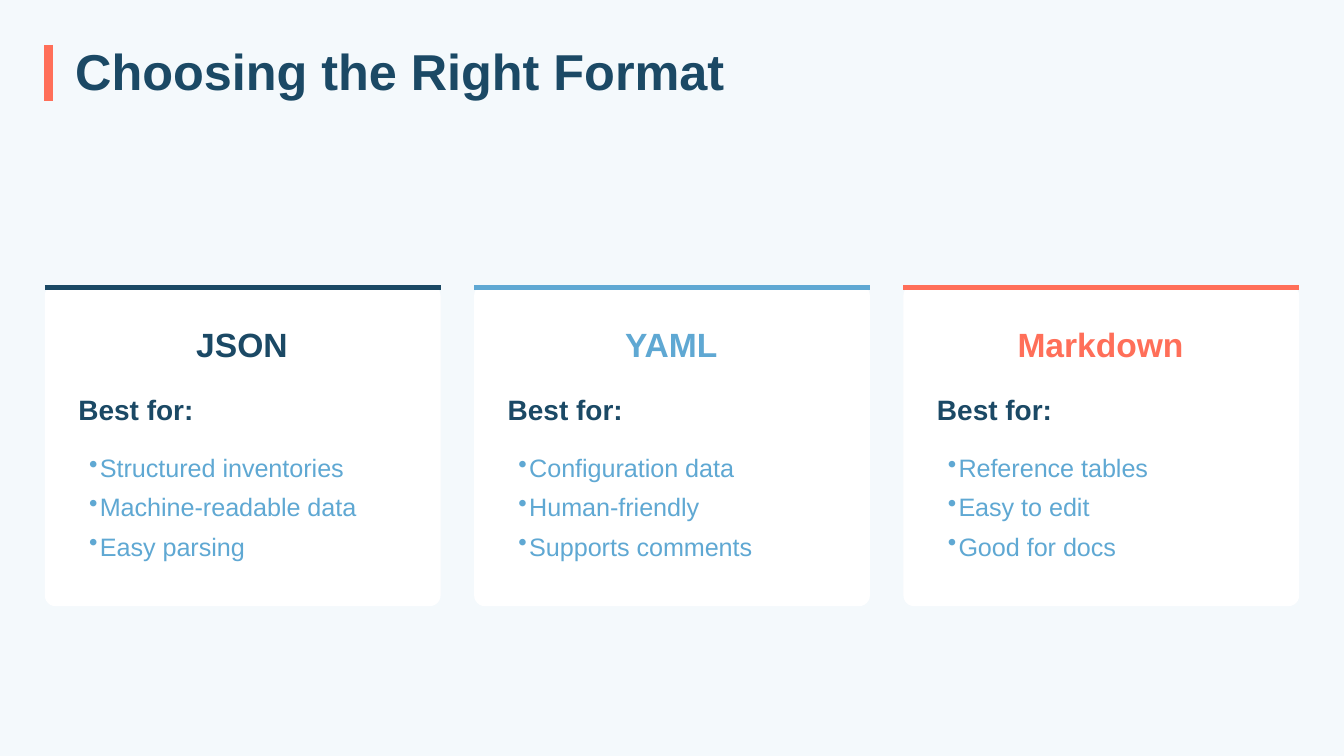
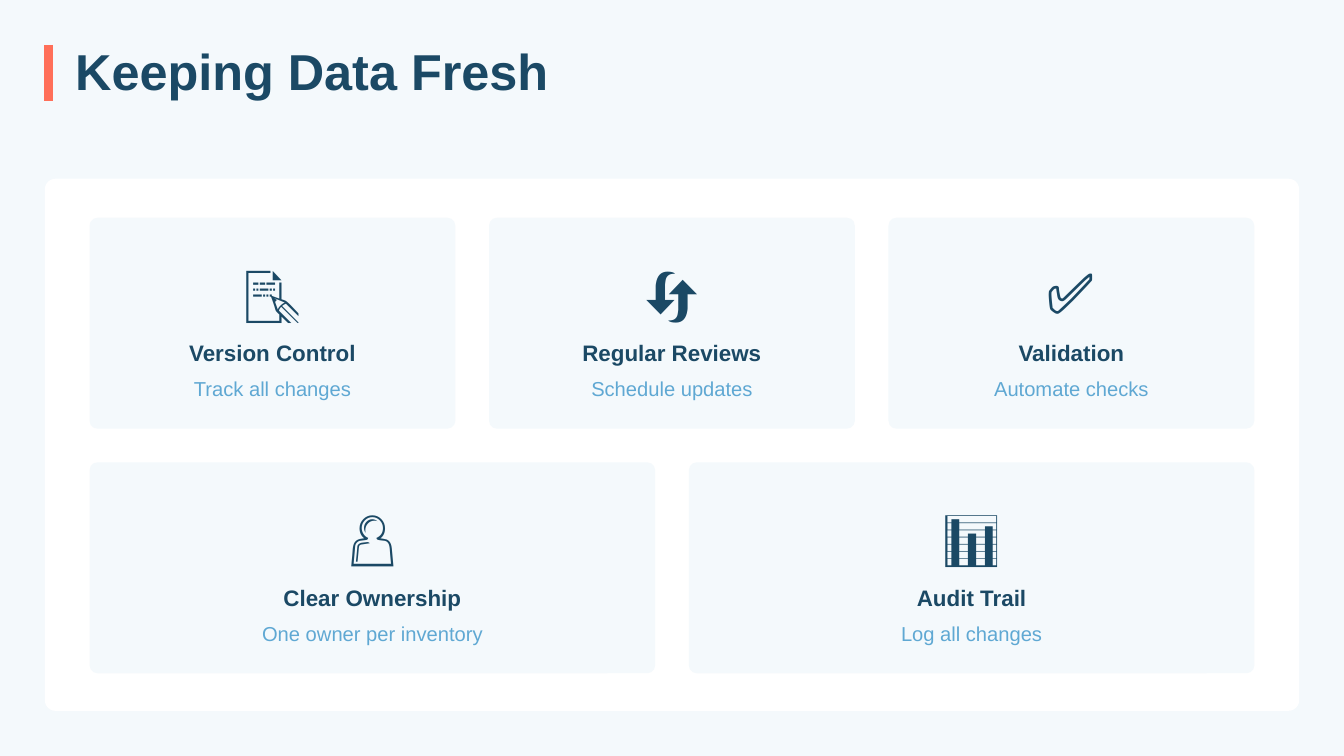
"""Build two slides: format comparison cards and data upkeep tiles."""
from lxml.etree import SubElement
from pptx import Presentation
from pptx.dml.color import RGBColor
from pptx.enum.shapes import MSO_CONNECTOR, MSO_SHAPE
from pptx.enum.text import PP_ALIGN
from pptx.oxml.ns import qn
from pptx.util import Inches, Pt

NAVY = RGBColor(0x1B, 0x49, 0x65)
SKY = RGBColor(0x5F, 0xA8, 0xD3)
CORAL = RGBColor(0xFF, 0x6F, 0x59)
PALE = RGBColor(0xF4, 0xF9, 0xFC)
WHITE = RGBColor(0xFF, 0xFF, 0xFF)
FONT = "Arial"

FORMATS_TITLE = "Choosing the Right Format"
BEST_FOR = "Best for:"
FORMATS = [
    ("JSON", NAVY, ["Structured inventories", "Machine-readable data", "Easy parsing"]),
    ("YAML", SKY, ["Configuration data", "Human-friendly", "Supports comments"]),
    ("Markdown", CORAL, ["Reference tables", "Easy to edit", "Good for docs"]),
]
FRESH_TITLE = "Keeping Data Fresh"
PRACTICES = [
    [
        ("📝", "Version Control", "Track all changes"),
        ("🔄", "Regular Reviews", "Schedule updates"),
        ("✅", "Validation", "Automate checks"),
    ],
    [
        ("👤", "Clear Ownership", "One owner per inventory"),
        ("📊", "Audit Trail", "Log all changes"),
    ],
]

WIDTH = 10
MARGIN = WIDTH / 30
GAP = WIDTH / 40
CARD_TOP, CARD_H = 2.12, 2.39
PANEL_TOP, PANEL_H = 1.33, 3.96
TILE_TOP, TILE_H = 1.62, 1.57
RADIUS = 0.08


def columns(left, count):
    """Yield the left edge and width of equal columns between mirrored margins."""
    w = (WIDTH - 2 * left - (count - 1) * GAP) / count
    for i in range(count):
        yield left + i * (w + GAP), w


def add_line(s, x1, y1, x2, y2, color, weight):
    """Draw a straight line without shadow."""
    ln = s.shapes.add_connector(MSO_CONNECTOR.STRAIGHT, *map(Inches, (x1, y1, x2, y2)))
    ln.line.color.rgb = color
    ln.line.width = Pt(weight)
    SubElement(ln._element.spPr, qn("a:effectLst"))


def add_panel(s, x, y, w, h, color, radius=RADIUS):
    """Draw a filled rounded rectangle."""
    sp = s.shapes.add_shape(MSO_SHAPE.ROUNDED_RECTANGLE, *map(Inches, (x, y, w, h)))
    sp.adjustments[0] = radius / min(w, h)
    sp.fill.solid()
    sp.fill.fore_color.rgb = color
    sp.line.fill.background()
    sp.shadow.inherit = False


def add_text(s, box, lines, size, color, spacing, bold=False, center=False,
             before=0, after=0, bullet=False):
    """Place a text box with one paragraph per line."""
    tf = s.shapes.add_textbox(*map(Inches, box)).text_frame
    tf.word_wrap = True
    tf.margin_left = Inches(RADIUS if bullet else 0)
    tf.margin_right = tf.margin_top = tf.margin_bottom = 0
    tf.text = "\n".join(lines)
    for p in tf.paragraphs:
        p.alignment = PP_ALIGN.CENTER if center else PP_ALIGN.LEFT
        p.line_spacing = Pt(spacing)
        p.space_before, p.space_after = Pt(before), Pt(after)
        if bullet:
            pPr = p._p.get_or_add_pPr()
            pPr.set("marL", str(Inches(RADIUS)))
            pPr.set("indent", str(-Inches(RADIUS)))
            SubElement(pPr, qn("a:buChar")).set("char", "•")
        for r in p.runs:
            r.font.name, r.font.size, r.font.bold = FONT, Pt(size), bold
            r.font.color.rgb = color


def add_slide(prs, title):
    """Add a blank slide with the shared background, accent bar and title."""
    s = prs.slides.add_slide(prs.slide_layouts[6])
    s.background.fill.solid()
    s.background.fill.fore_color.rgb = PALE
    add_line(s, 0.36, MARGIN, 0.36, 0.75, CORAL, 4.5)
    add_text(s, (0.56, MARGIN, 4.93, 0.42), [title], 27, NAVY, 30, bold=True)
    return s


def add_format_card(s, x, w, name, color, uses):
    """Add a card with a coloured top edge, a heading and a bullet list."""
    add_panel(s, x, CARD_TOP, w, CARD_H, WHITE)
    add_line(s, x, CARD_TOP + 0.02, x + w, CARD_TOP + 0.02, color, 3)
    inner = w - 0.45
    add_text(s, (x + 0.22, CARD_TOP + 0.29, inner, 0.3), [name], 18, color, 21.6,
             bold=True, center=True, after=12)
    add_text(s, (x + GAP, CARD_TOP + 0.76, inner, 0.29), [BEST_FOR], 15, NAVY, 21,
             bold=True, before=3, after=9.6)
    add_text(s, (x + GAP, CARD_TOP + 1.18, w - 2 * GAP, 0.96), uses, 13.5, SKY, 21,
             bullet=True)


def add_practice_tile(s, x, y, w, icon, name, note):
    """Add a tile with a centred icon, name and note."""
    add_panel(s, x, y, w, TILE_H, PALE, 0.06)
    left, inner = x + 0.13, w - 0.26
    add_text(s, (left, y + 0.21, inner, 0.58), [icon], 30, NAVY, 42,
             center=True, before=3, after=6)
    add_text(s, (left, y + 0.87, inner, 0.23), [name], 12, NAVY, 16.8,
             bold=True, center=True, before=3, after=3)
    add_text(s, (left, y + 1.15, inner, 0.21), [note], 10.8, SKY, 15.1,
             center=True, before=3, after=3)


def main():
    prs = Presentation()
    prs.slide_width = Inches(WIDTH)
    prs.slide_height = prs.slide_width * 9 // 16

    s = add_slide(prs, FORMATS_TITLE)
    for (x, w), card in zip(columns(MARGIN, len(FORMATS)), FORMATS):
        add_format_card(s, x, w, *card)

    s = add_slide(prs, FRESH_TITLE)
    add_panel(s, MARGIN, PANEL_TOP, WIDTH - 2 * MARGIN, PANEL_H, WHITE)
    for row, tiles in enumerate(PRACTICES):
        y = TILE_TOP + row * (TILE_H + GAP)
        for (x, w), tile in zip(columns(2 * MARGIN, len(tiles)), tiles):
            add_practice_tile(s, x, y, w, *tile)

    prs.save("out.pptx")


if __name__ == "__main__":
    main()
